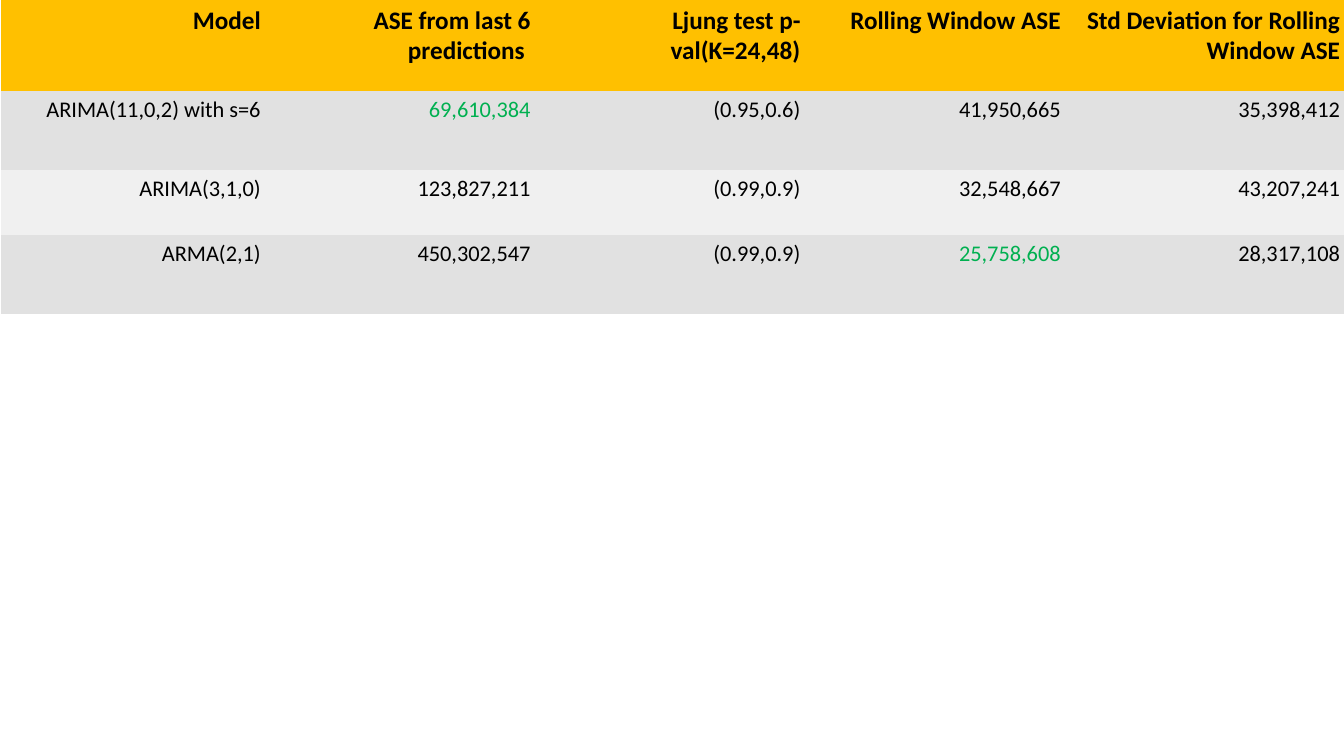
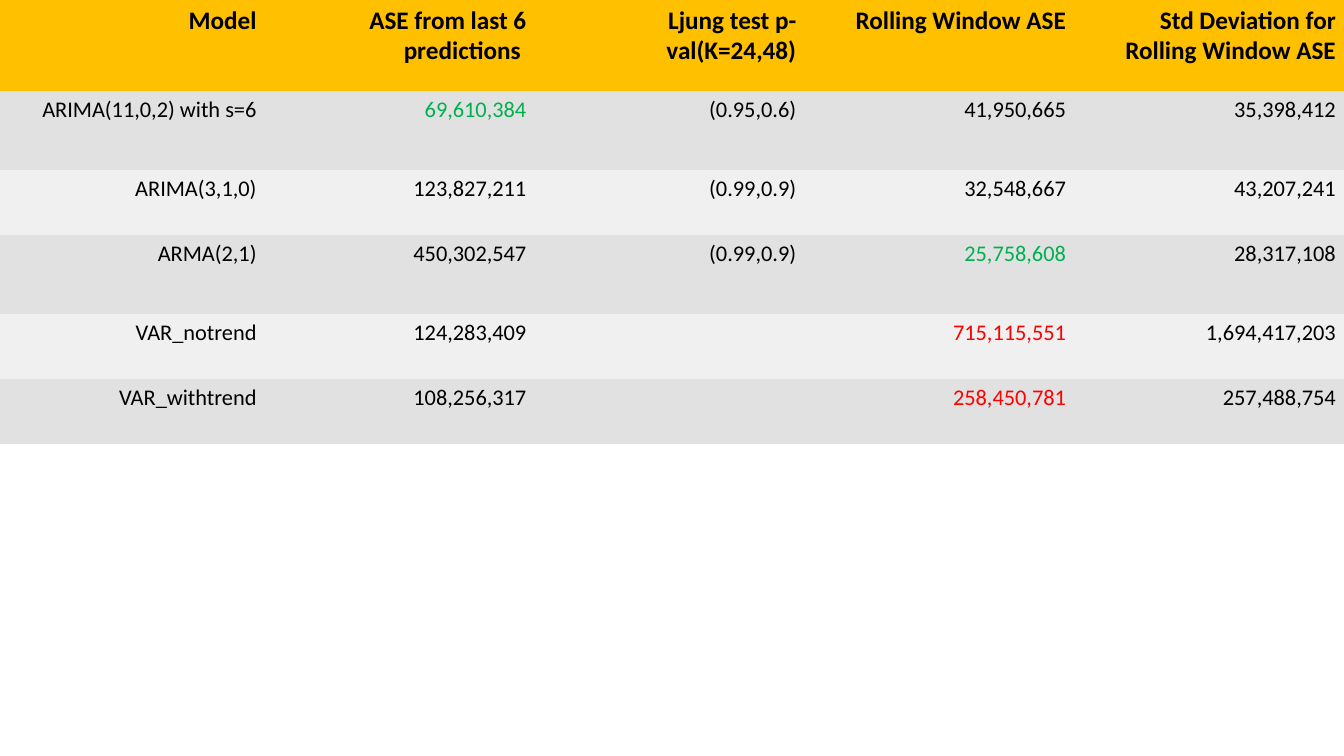
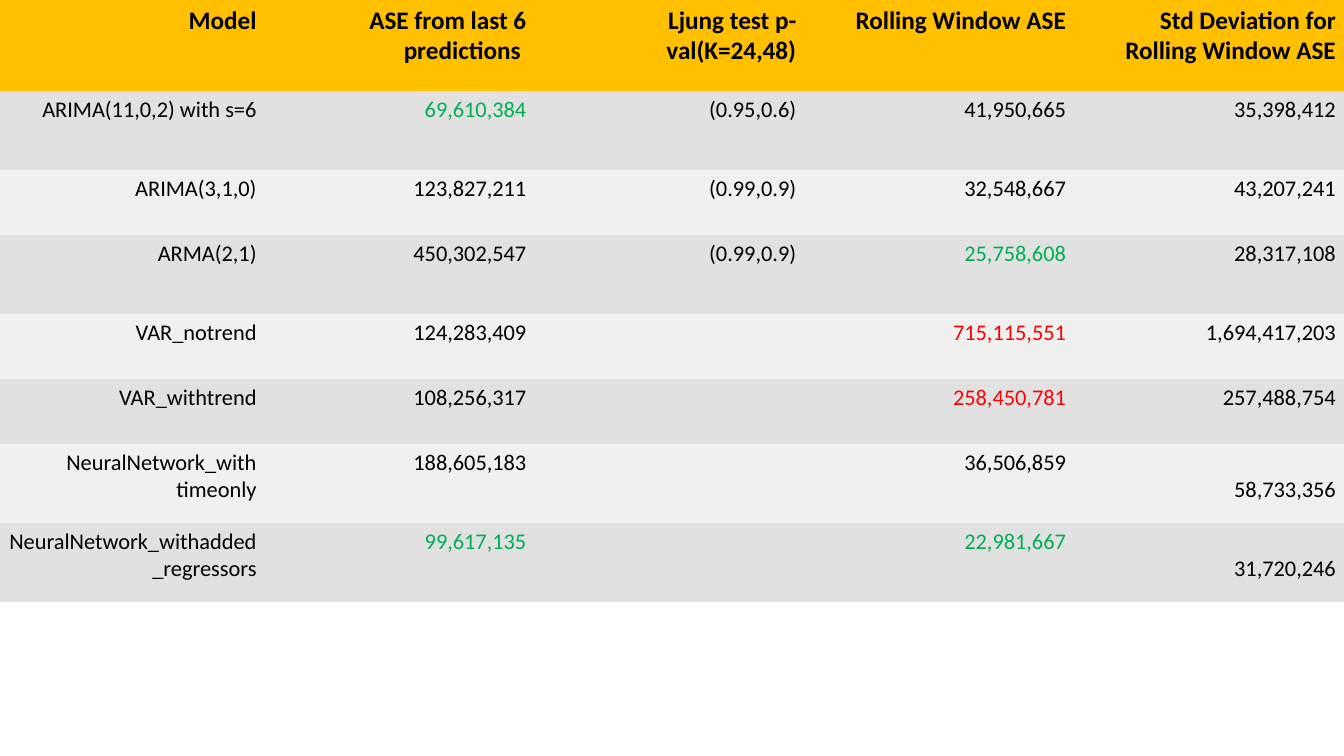
from pptx import Presentation
from pptx.dml.color import RGBColor as RGB
from pptx.enum.text import PP_ALIGN as AL
from pptx.oxml.ns import qn
from pptx.util import Pt

PX = 9525
W, H = 1280, 720
COLORS = {
    "header": "FFC000",
    "odd": "E1E1E1",
    "even": "F0F0F0",
    "text": "000000",
    "best": "00B050",
    "worst": "FF0000",
}
HEADER_FONT = {"name": "Calibri", "size": Pt(18), "bold": True}
BODY_FONT = {"name": "Calibri", "size": Pt(16), "bold": False}
TABLE_FLAGS = {"first_row": False, "horz_banding": False}
NO_GRID = "{2D5ABB26-0587-4C30-8999-92F81FD0307C}"

HEADER = ["Model", "ASE from last 6 predictions ", "Ljung test p-val(K=24,48)",
          "Rolling Window ASE", "Std Deviation for Rolling Window ASE"]
MODELS = [
    ["ARIMA(11,0,2) with s=6", "69,610,384", "(0.95,0.6)", "41,950,665", "35,398,412"],
    ["ARIMA(3,1,0)", "123,827,211", "(0.99,0.9)", "32,548,667", "43,207,241"],
    ["ARMA(2,1)", "450,302,547", "(0.99,0.9)", "25,758,608", "28,317,108"],
    ["VAR_notrend", "124,283,409", "", "715,115,551", "1,694,417,203"],
    ["VAR_withtrend", "108,256,317", "", "258,450,781", "257,488,754"],
    ["NeuralNetwork_with timeonly", "188,605,183", "", "36,506,859", "58,733,356"],
    ["NeuralNetwork_withadded_regressors", "99,617,135", "", "22,981,667", "31,720,246"],
]
HIGHLIGHTS = {
    "69,610,384": "best",
    "25,758,608": "best",
    "99,617,135": "best",
    "22,981,667": "best",
    "715,115,551": "worst",
    "258,450,781": "worst",
}
LOWERED = {"58,733,356", "31,720,246"}
LOWERED_TOP = 31
ROW_HEIGHTS = [87, 75, 62, 75, 62, 62, 75, 75]
EVEN_COLS = [257] * 5
UNEVEN_COLS = [257, 257, 257, 248, 266]


def set_attrs(obj, values):
    for name, value in values.items():
        setattr(obj, name, value)


def fill_cell(cell, text, fill, font):
    cell.fill.solid()
    cell.fill.fore_color.rgb = RGB.from_string(COLORS[fill])
    if not text:
        return
    if text in LOWERED:
        cell.margin_top = LOWERED_TOP * PX
    p = cell.text_frame.paragraphs[0]
    p.alignment = AL.RIGHT
    r = p.add_run()
    r.text = text
    set_attrs(r.font, font)
    r.font.color.rgb = RGB.from_string(COLORS[HIGHLIGHTS.get(text, "text")])


def add_model_table(s, x, y, cols, models):
    rows = [HEADER] + models
    heights = ROW_HEIGHTS[:len(rows)]
    box = [v * PX for v in (x, y, sum(cols), sum(heights))]
    gf = s.shapes.add_table(len(rows), len(cols), *box)
    table = gf.table
    set_attrs(table, TABLE_FLAGS)
    for style in gf.element.iter(qn("a:tableStyleId")):
        style.text = NO_GRID
    for col, width in zip(table.columns, cols):
        col.width = width * PX
    for i, (row, height, texts) in enumerate(zip(table.rows, heights, rows)):
        row.height = height * PX
        fill = ("odd" if i % 2 else "even") if i else "header"
        font = BODY_FONT if i else HEADER_FONT
        for cell, text in zip(row.cells, texts):
            fill_cell(cell, text, fill, font)


def main():
    prs = Presentation()
    prs.slide_width, prs.slide_height = W * PX, H * PX
    for x, cols, count in [(1, UNEVEN_COLS, 3), (-3, EVEN_COLS, 5), (-3, EVEN_COLS, 7)]:
        s = prs.slides.add_slide(prs.slide_layouts[6])
        add_model_table(s, x, 0, cols, MODELS[:count])
    prs.save("out.pptx")


if __name__ == "__main__":
    main()
